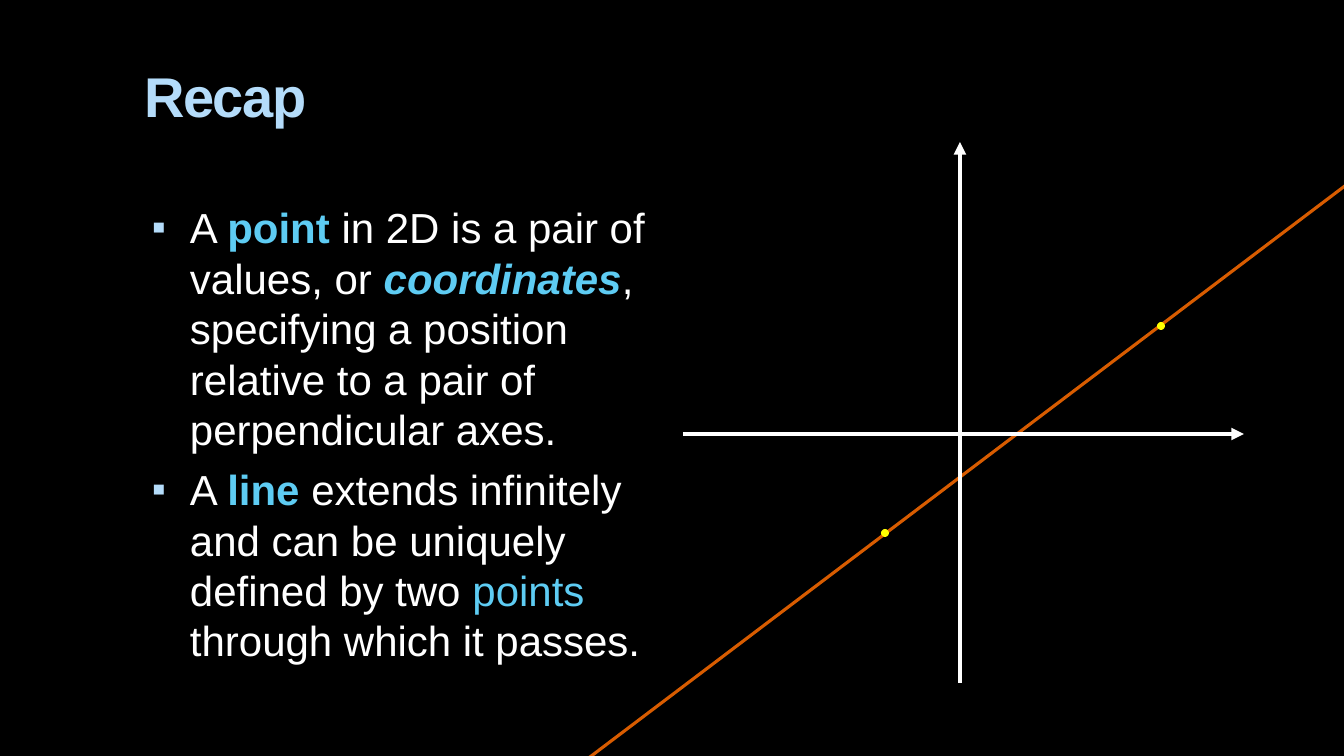
from lxml import etree
from pptx import Presentation
from pptx.dml.color import RGBColor
from pptx.enum.shapes import MSO_CONNECTOR, MSO_SHAPE
from pptx.oxml.ns import qn
from pptx.util import Emu, Pt

STRAIGHT = MSO_CONNECTOR.STRAIGHT
OVAL = MSO_SHAPE.OVAL

FONT = "Arial"
BLACK, WHITE = "000000", "FFFFFF"
PALE, CYAN = "B4DCFA", "5ECCF3"
ORANGE, YELLOW = "D85C00", "FFFF00"

# Each run: text, style letters (c = cyan, b = bold, i = italic)
POINTS = [
    [("A ", ""), ("point", "cb"), (" in 2D is a pair of values, or ", ""),
     ("coordinates", "cbi"),
     (", specifying a position relative to a pair of perpendicular axes.", "")],
    [("A ", ""), ("line", "cb"),
     (" extends infinitely and can be uniquely defined by two ", ""),
     ("points", "c"), (" through which it passes.", "")],
]


def px(n):
    return Emu(round(n * 914400 / 100.8))


def rgb(code):
    return RGBColor.from_string(code)


def sub(node, tag, **attrs):
    return etree.SubElement(node, qn(tag), attrs)


def style(font, size, color, bold=False):
    font.name, font.size, font.bold = FONT, Pt(size), bold
    font.color.rgb = rgb(color)


def add_box(slide, x, y, w, h, top):
    """Add a wrapping text frame with the given top margin."""
    frame = slide.shapes.add_textbox(px(x), px(y), px(w), px(h)).text_frame
    frame.word_wrap = True
    frame.margin_left = frame.margin_right = px(10)
    frame.margin_top, frame.margin_bottom = px(top), px(5)
    return frame


def add_title(slide, text):
    para = add_box(slide, 134, 56, 1142, 101, 6).paragraphs[0]
    style(para.font, 40, PALE, True)
    run = para.add_run()
    run.text = text
    run._r.get_or_add_rPr().set("spc", "-100")


def add_bullet(para):
    props = para._p.get_or_add_pPr()
    props.set("marL", str(px(46)))
    props.set("indent", str(-px(38)))
    sub(sub(props, "a:buClr"), "a:srgbClr", val=PALE)
    sub(props, "a:buSzPct", val="95000")
    sub(props, "a:buFont", typeface=FONT)
    sub(props, "a:buChar", char="▪")


def add_list(slide, items):
    frame = add_box(slide, 134, 197, 571, 504, 5)
    for n, item in enumerate(items):
        para = frame.add_paragraph() if n else frame.paragraphs[0]
        add_bullet(para)
        if n:
            para.space_before = Pt(7)
        style(para.font, 30, WHITE)
        for text, marks in item:
            run = para.add_run()
            run.text = text
            if "c" in marks:
                run.font.color.rgb = rgb(CYAN)
            if "b" in marks:
                run.font.bold = True
            if "i" in marks:
                run.font.italic = True


def add_line(slide, x1, y1, x2, y2, color, width, arrow=False):
    line = slide.shapes.add_connector(STRAIGHT, px(x1), px(y1), px(x2), px(y2))
    line.line.color.rgb = rgb(color)
    line.line.width = Pt(width)
    if arrow:
        sub(line.line._get_or_add_ln(), "a:tailEnd", type="triangle")
    sub(line._element.spPr, "a:effectLst")


def add_dot(slide, x, y, r=4):
    """Add a yellow dot centred on x, y."""
    dot = slide.shapes.add_shape(OVAL, px(x - r), px(y - r), px(2 * r), px(2 * r))
    dot.shadow.inherit = False
    dot.fill.solid()
    dot.fill.fore_color.rgb = rgb(YELLOW)
    dot.line.fill.background()


def main():
    deck = Presentation()
    deck.slide_width, deck.slide_height = px(1344), px(756)
    slide = deck.slides.add_slide(deck.slide_layouts[6])
    slide.background.fill.solid()
    slide.background.fill.fore_color.rgb = rgb(BLACK)

    add_line(slide, 553, 785, 1362, 173, ORANGE, 2.25)
    add_title(slide, "Recap")
    add_list(slide, POINTS)
    add_line(slide, 683, 434, 1244, 434, WHITE, 3, arrow=True)
    add_line(slide, 960, 683, 960, 142, WHITE, 3, arrow=True)
    for x, y in [(1161, 326), (885, 533)]:
        add_dot(slide, x, y)
    deck.save("out.pptx")


if __name__ == "__main__":
    main()
